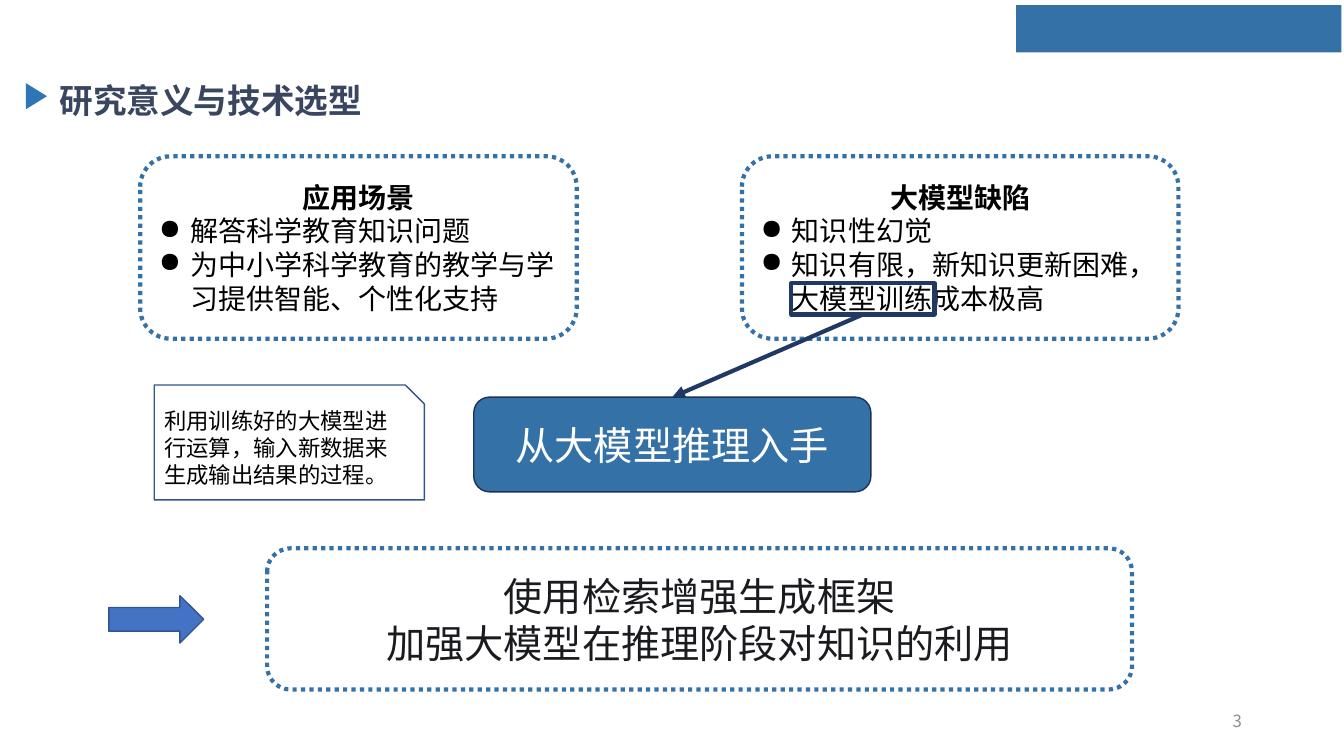
from lxml import etree
from pptx import Presentation
from pptx import util as u
from pptx.dml.color import RGBColor
from pptx.enum import dml, shapes, text
from pptx.oxml.ns import qn

WIDTH, HEIGHT = u.Inches(13.33), u.Inches(7.5)
FONT = "Noto Sans CJK SC"
COLORS = {
    "blue": "3471A7", "marker": "2E75B6", "arrow": "4472C4", "navy": "203864",
    "outline": "325491", "edge": "1E3256", "title": "3A4660", "ink": "191B1F",
    "black": "000000", "white": "FFFFFF", "gray": "8C8C8C",
}
KIND = shapes.MSO_SHAPE
ALIGN = text.PP_ALIGN


def color(name):
    return RGBColor.from_string(COLORS[name])


def place(left, top, width, height):
    """Turn percentages of the slide's size into lengths."""
    return (int(WIDTH * left / 100), int(HEIGHT * top / 100),
            int(WIDTH * width / 100), int(HEIGHT * height / 100))


def add_box(slide, kind, area, fill=None, line=None, weight=1, dotted=False):
    shape = slide.shapes.add_shape(kind, *place(*area))
    shape.shadow.inherit = False
    if fill:
        shape.fill.solid()
        shape.fill.fore_color.rgb = color(fill)
    else:
        shape.fill.background()
    if line:
        shape.line.color.rgb = color(line)
        shape.line.width = u.Pt(weight)
        if dotted:
            shape.line.dash_style = dml.MSO_LINE.ROUND_DOT
    else:
        shape.line.fill.background()
    return shape


def add_dotted_box(slide, area):
    return add_box(slide, KIND.ROUNDED_RECTANGLE, area, "white", "blue", 3, True)


def add_bullet(paragraph):
    properties = paragraph._p.get_or_add_pPr()
    indent = u.Inches(0.31)
    properties.set("marL", str(indent))
    properties.set("indent", str(-indent))
    etree.SubElement(properties, qn("a:buChar")).set("char", "●")


def style(paragraph, size, ink, bold=False, align=ALIGN.LEFT):
    paragraph.alignment = align
    font = paragraph.font
    font.size, font.bold, font.name = u.Pt(size), bold, FONT
    font.color.rgb = color(ink)
    defaults = paragraph._p.pPr.find(qn("a:defRPr"))
    etree.SubElement(defaults, qn("a:ea")).set("typeface", FONT)


def write(shape, lines, size, ink, bold=False, align=ALIGN.CENTER):
    frame = shape.text_frame
    frame.word_wrap = True
    frame.vertical_anchor = text.MSO_ANCHOR.MIDDLE
    frame.text = "\n".join(lines)
    for paragraph in frame.paragraphs:
        style(paragraph, size, ink, bold, align)


def add_label(slide, area, line, size, ink, bold=False, align=ALIGN.LEFT):
    label = slide.shapes.add_textbox(*place(*area))
    write(label, [line], size, ink, bold, align)
    return label


def add_card(slide, left, heading, points):
    card = add_dotted_box(slide, (left, 20.67, 32.48, 24.13))
    write(card, [heading], 20, "black", True)
    for point in points:
        paragraph = card.text_frame.add_paragraph()
        paragraph.text = point
        add_bullet(paragraph)
        style(paragraph, 20, "black")


def add_arrow(slide, source, target):
    """Join the bottom of source to the top of target."""
    arrow = slide.shapes.add_connector(shapes.MSO_CONNECTOR.STRAIGHT, 0, 0, 0, 0)
    arrow.begin_connect(source, 2)
    arrow.end_connect(target, 0)
    arrow.line.color.rgb = color("navy")
    arrow.line.width = u.Pt(3)
    etree.SubElement(arrow.line._get_or_add_ln(), qn("a:tailEnd")).set("type", "triangle")
    etree.SubElement(arrow._element.spPr, qn("a:effectLst"))


def add_header(slide):
    marker = add_box(slide, KIND.ISOSCELES_TRIANGLE, (1.73, 11.33, 1.95, 2.8), "marker")
    marker.rotation = 90
    title = add_label(slide, (3.9, 10, 34.27, 6.4), "研究意义与技术选型", 24, "title", True)
    frame = title.text_frame
    frame.margin_left = frame.margin_right = u.Inches(0.07)
    frame.margin_top = frame.margin_bottom = u.Inches(0.04)
    add_box(slide, KIND.RECTANGLE, (75.6, 0.67, 24.2, 6.27), "blue")


def main():
    presentation = Presentation()
    presentation.slide_width, presentation.slide_height = WIDTH, HEIGHT
    slide = presentation.slides.add_slide(presentation.slide_layouts[6])

    add_label(slide, (70.65, 92.67, 22.5, 5.33), "3", 12, "gray", align=ALIGN.RIGHT)
    add_header(slide)
    add_card(slide, 10.43, "应用场景",
             ["解答科学教育知识问题", "为中小学科学教育的教学与学习提供智能、个性化支持"])
    add_card(slide, 55.2, "大模型缺陷",
             ["知识性幻觉", "知识有限，新知识更新困难，大模型训练成本极高"])

    highlight = add_box(slide, KIND.RECTANGLE, (58.88, 37.47, 10.65, 4.13),
                        line="navy", weight=3)
    approach = add_box(slide, KIND.ROUNDED_RECTANGLE, (35.25, 52.53, 29.55, 12.53),
                       "blue", "edge")
    write(approach, ["从大模型推理入手"], 28, "white")
    add_arrow(slide, highlight, approach)

    add_box(slide, KIND.RIGHT_ARROW, (8.1, 78.8, 7.05, 6.27), "arrow", "outline")
    conclusion = add_dotted_box(slide, (19.88, 72.53, 64.35, 18.67))
    write(conclusion, ["使用检索增强生成框架", "加强大模型在推理阶段对知识的利用"], 28, "ink")
    note = add_box(slide, KIND.SNIP_1_RECTANGLE, (11.48, 50.93, 20.1, 15.2), line="outline")
    write(note, ["利用训练好的大模型进行运算，输入新数据来生成输出结果的过程。"],
          16, "black", align=ALIGN.LEFT)

    presentation.save("out.pptx")


if __name__ == "__main__":
    main()
